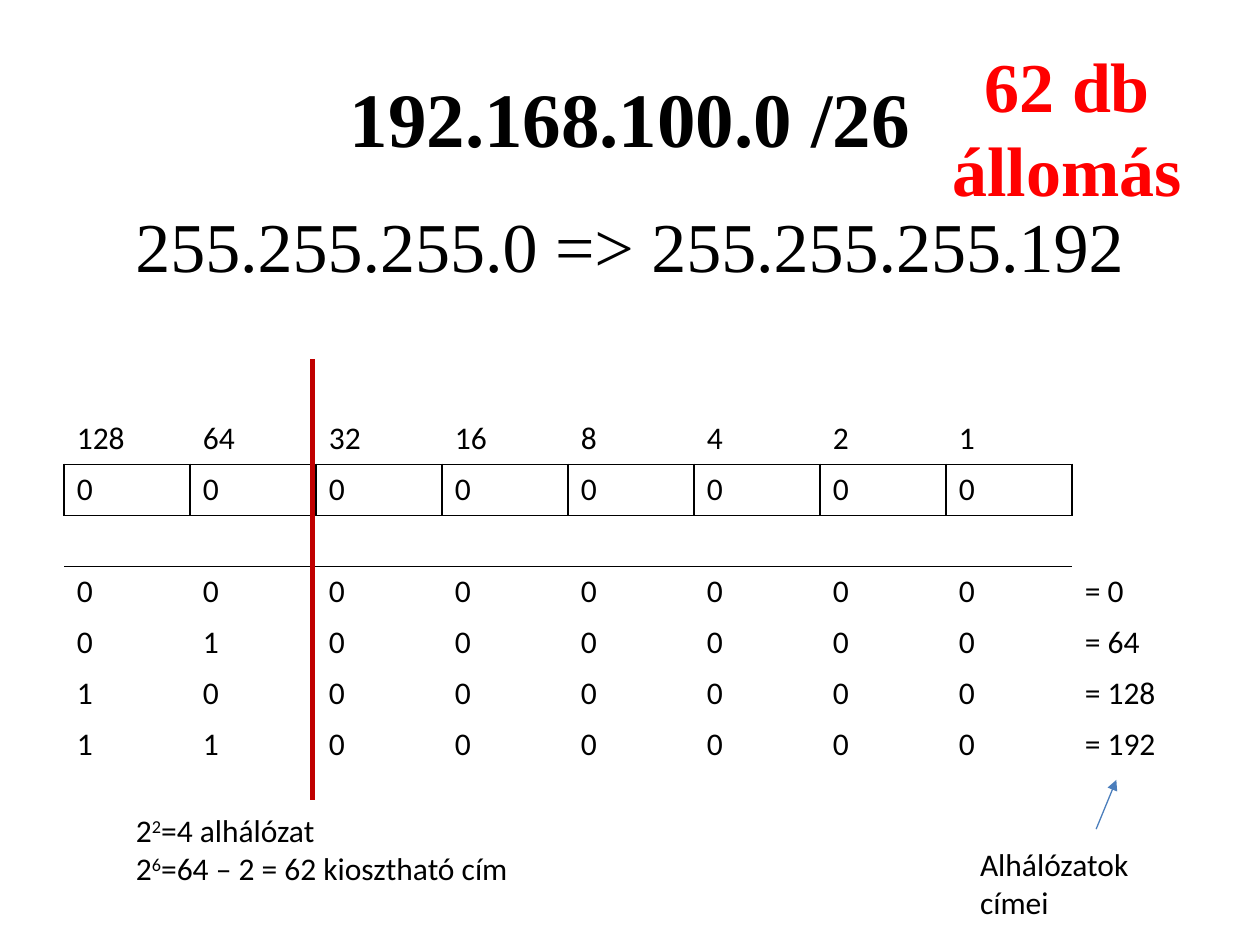
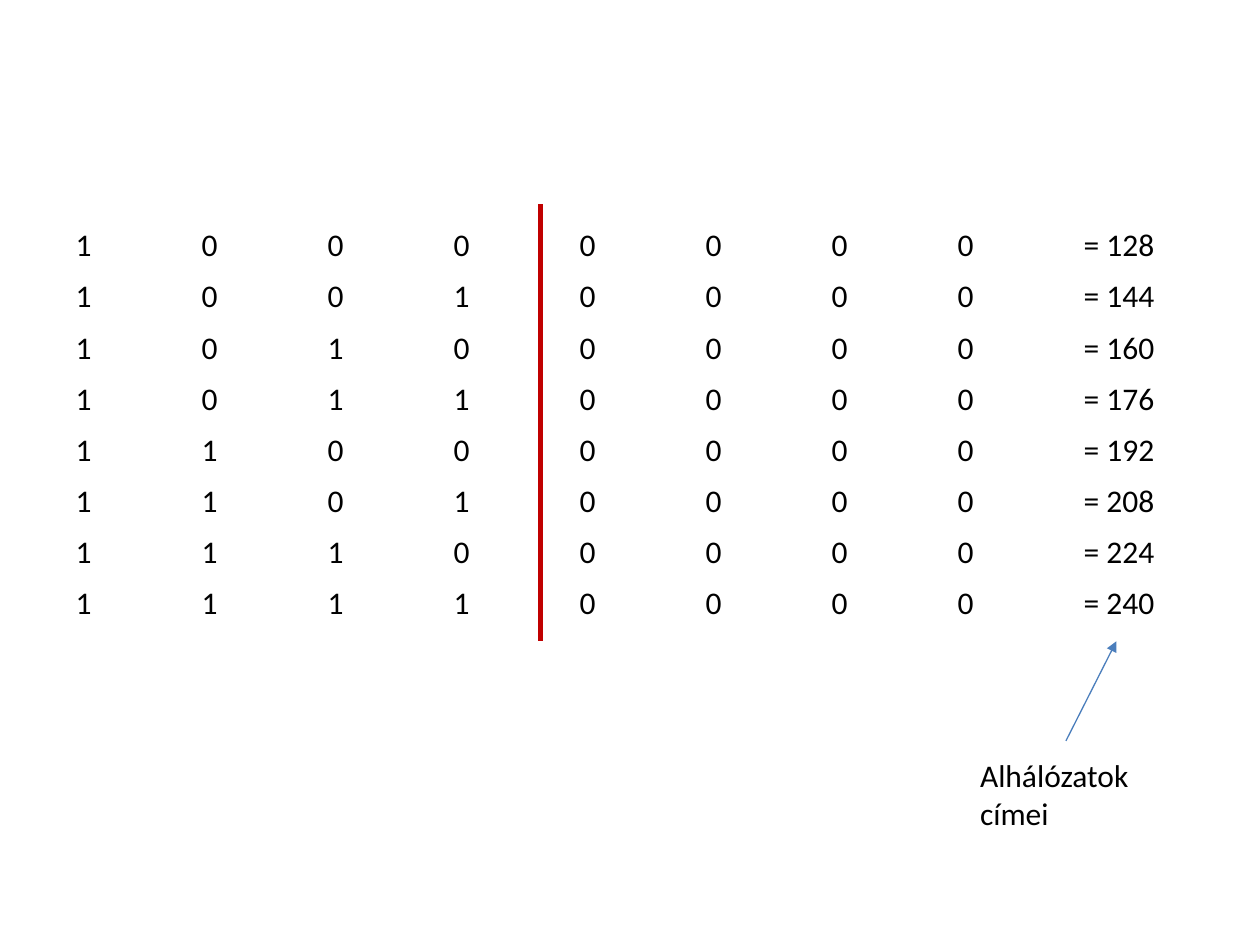
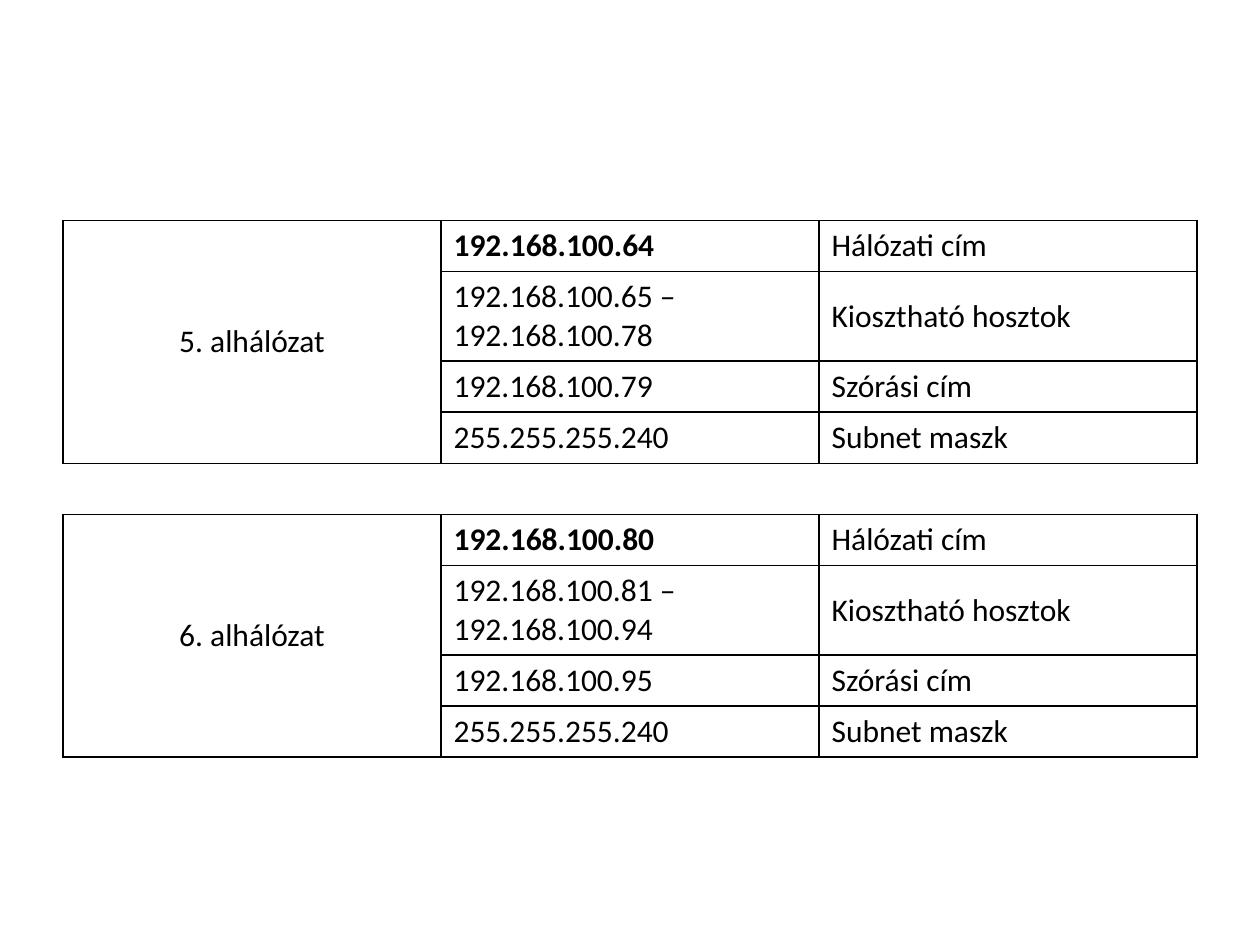
from lxml import etree
from pptx import Presentation
from pptx.dml.color import RGBColor
from pptx.enum.shapes import MSO_CONNECTOR
from pptx.enum.text import MSO_ANCHOR, PP_ALIGN
from pptx.oxml.ns import qn
from pptx.util import Inches, Pt

LINE = MSO_CONNECTOR.STRAIGHT
MIDDLE, TOP = MSO_ANCHOR.MIDDLE, MSO_ANCHOR.TOP
LEFT, CENTER = PP_ALIGN.LEFT, PP_ALIGN.CENTER

BLACK = RGBColor(0x00, 0x00, 0x00)
RED = RGBColor(0xFF, 0x00, 0x00)
DARK_RED = RGBColor(0xC0, 0x00, 0x00)
BLUE = RGBColor(0x4B, 0x7E, 0xBC)
BODY, SERIF = "Calibri", "Times New Roman"
WIDE, HIGH = 10, 7.5
MARGIN = 0.5
ROW, TALL = 0.405, 0.71     # one-line and two-line table rows
BITS = 8

# Content
TITLE = "192.168.100.0 /26"
HOSTS = "62 db állomás"
MASKS = "255.255.255.0 => 255.255.255.192"
LABEL = "Alhálózatok címei"
POWERS = [("2", "2", "=4 alhálózat"),
          ("2", "6", "=64 – 2 = 62 kiosztható cím")]
QUARTERS = range(0, 256, 64)
UPPER = range(128, 256, 16)
ROLES = ["Hálózati cím", "Kiosztható hosztok", "Szórási cím", "Subnet maszk"]
NETS = [
    ("5. alhálózat", ["192.168.100.64", "192.168.100.65 –\n192.168.100.78",
                      "192.168.100.79", "255.255.255.240"]),
    ("6. alhálózat", ["192.168.100.80", "192.168.100.81 –\n192.168.100.94",
                      "192.168.100.95", "255.255.255.240"]),
]


def style(par, size=18, face=BODY, color=BLACK, bold=False, align=LEFT):
    par.alignment = align
    font = par.font
    font.size, font.name, font.bold = Pt(size), face, bold
    font.color.rgb = color


def add_text(slide, box, lines, anchor=TOP, **look):
    """A line is a string, or a (base, exponent, rest) tuple."""
    frame = slide.shapes.add_textbox(*map(Inches, box)).text_frame
    frame.word_wrap = True
    frame.vertical_anchor = anchor
    for i, line in enumerate(lines):
        par = frame.add_paragraph() if i else frame.paragraphs[0]
        parts = (line,) if isinstance(line, str) else line
        for k, part in enumerate(parts):
            run = par.add_run()
            run.text = part
            if k == 1:
                run._r.get_or_add_rPr().set("baseline", "30000")
        style(par, **look)


def add_line(slide, start, end, color, width, arrow=False):
    line = slide.shapes.add_connector(LINE, *map(Inches, start + end))
    line.line.color.rgb = color
    line.line.width = Pt(width)
    if arrow:
        etree.SubElement(line.line._get_or_add_ln(), qn("a:tailEnd"),
                         type="triangle")
    etree.SubElement(line._element.spPr, qn("a:effectLst"))


def set_edge(cell, side, drawn):
    edge = etree.SubElement(cell._tc.get_or_add_tcPr(), qn("a:ln" + side),
                            w=str(Pt(1)))
    if drawn:
        fill = etree.SubElement(edge, qn("a:solidFill"))
        etree.SubElement(fill, qn("a:srgbClr"), val=str(BLACK))
    else:
        etree.SubElement(edge, qn("a:noFill"))


def add_table(slide, left, top, rows, boxed=(), ruled=()):
    """Boxed cells get four edges, ruled cells a line below."""
    cols = len(rows[0])
    width = WIDE - 2 * MARGIN
    tall = [TALL if any("\n" in text for text in row) else ROW for row in rows]
    table = slide.shapes.add_table(
        len(rows), cols, *map(Inches, (left, top, width, sum(tall)))).table
    table.first_row = table.horz_banding = False
    for col in table.columns:
        col.width = Inches(width / cols)
    for r, row in enumerate(rows):
        table.rows[r].height = Inches(tall[r])
        for c, text in enumerate(row):
            cell = table.cell(r, c)
            cell.text = text
            for par in cell.text_frame.paragraphs:
                style(par)
            near = {"L": (r, c - 1), "R": (r, c + 1),
                    "T": (r - 1, c), "B": (r + 1, c)}
            for side, spot in near.items():
                rule = (side == "B" and (r, c) in ruled
                        or side == "T" and spot in ruled)
                set_edge(cell, side, rule or (r, c) in boxed or spot in boxed)
            cell.fill.background()
    return table


def bit_row(value):
    return list(format(value, f"0{BITS}b")) + [f"= {value}"]


def mask_slide(slide):
    add_text(slide, (MARGIN, 0.3, WIDE - 2 * MARGIN, 1.25), [TITLE], MIDDLE,
             size=44, face=SERIF, bold=True, align=CENTER)
    weights = [str(2 ** k) for k in reversed(range(BITS))] + [""]
    rows = [weights, ["0"] * BITS + [""], [""] * (BITS + 1)]
    rows += map(bit_row, QUARTERS)
    add_table(slide, 0.51, 3.28, rows,
              boxed={(1, c) for c in range(BITS)},
              ruled={(2, c) for c in range(BITS)})
    add_line(slide, (2.48, 2.85), (2.48, 6.35), DARK_RED, 3)
    add_text(slide, (7.13, 0.29, 2.68, 1.45), [HOSTS],
             size=40, face=SERIF, color=RED, bold=True, align=CENTER)
    add_text(slide, (0.43, 1.56, 9.13, 0.77), [MASKS],
             size=40, face=SERIF, align=CENTER)
    add_text(slide, (7.68, 6.66, 1.57, TALL), [LABEL])
    add_line(slide, (8.7, 6.58), (8.86, 6.19), BLUE, 0.75, arrow=True)
    add_text(slide, (0.98, 6.39, 4.33, TALL), POWERS)


def upper_slide(slide):
    add_table(slide, MARGIN, 1.75, [bit_row(value) for value in UPPER])
    add_line(slide, (4.29, 1.62), (4.29, 5.09), DARK_RED, 3)
    add_text(slide, (7.68, 5.95, 2.05, TALL), LABEL.split())
    add_line(slide, (8.46, 5.88), (8.86, 5.09), BLUE, 0.75, arrow=True)


def nets_slide(slide):
    rows, starts = [], []
    for name, hosts in NETS:
        if rows:
            rows.append([""] * 3)
        starts.append(len(rows))
        names = [name] + [""] * (len(ROLES) - 1)
        rows += map(list, zip(names, hosts, ROLES))
    boxed = {(s + r, c) for s in starts
             for r in range(len(ROLES)) for c in range(3)}
    table = add_table(slide, MARGIN, 1.75, rows, boxed)
    for s in starts:
        head = table.cell(s, 0)
        head.merge(table.cell(s + len(ROLES) - 1, 0))
        head.vertical_anchor = MIDDLE
        head.text_frame.paragraphs[0].alignment = CENTER
        table.cell(s, 1).text_frame.paragraphs[0].font.bold = True
        for r in range(len(ROLES)):
            table.cell(s + r, 2).vertical_anchor = MIDDLE


def main():
    deck = Presentation()
    deck.slide_width, deck.slide_height = Inches(WIDE), Inches(HIGH)
    for build in (mask_slide, upper_slide, nets_slide):
        build(deck.slides.add_slide(deck.slide_layouts[6]))
    deck.save("out.pptx")


if __name__ == "__main__":
    main()
